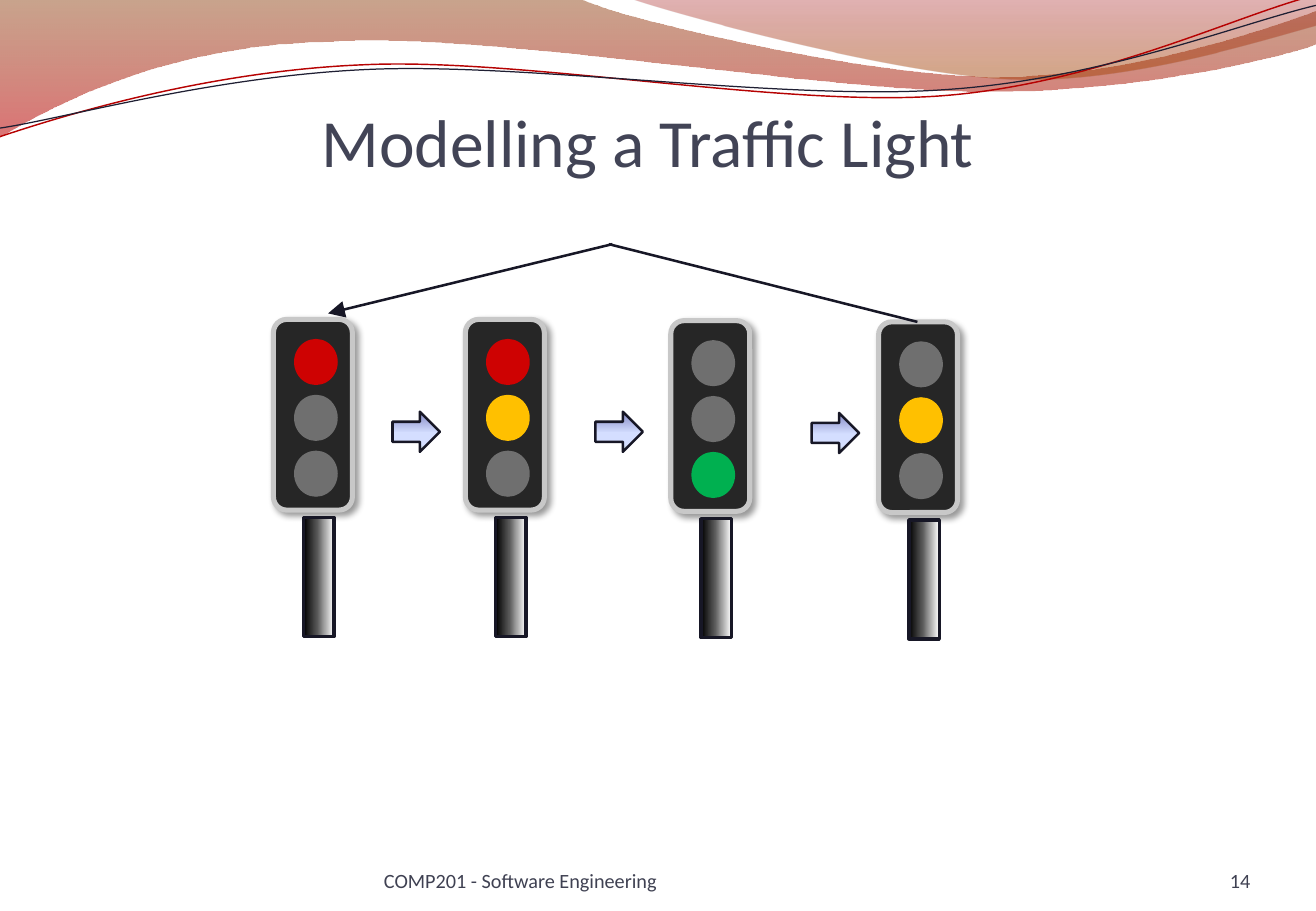
from pptx import Presentation
from pptx.dml.color import RGBColor
from pptx.enum.shapes import MSO_CONNECTOR, MSO_SHAPE
from pptx.enum.text import MSO_ANCHOR, MSO_AUTO_SIZE, PP_ALIGN
from pptx.oxml import parse_xml
from pptx.oxml.ns import nsdecls, qn
from pptx.util import Inches, Pt

TITLE_GREY = RGBColor(0x42, 0x44, 0x56)
FOOTER_GREY = RGBColor(0x3F, 0x41, 0x52)
INK = RGBColor(0x17, 0x17, 0x26)
HOUSING = RGBColor(0x26, 0x26, 0x26)
RIM = RGBColor(0xC8, 0xC8, 0xC8)
OFF = RGBColor(0x6F, 0x6F, 0x6F)
RED = RGBColor(0xCE, 0x02, 0x02)
AMBER = RGBColor(0xFF, 0xC0, 0x00)
GREEN = RGBColor(0x00, 0xB0, 0x50)
WAVE_RED = RGBColor(0xB6, 0x02, 0x02)
WAVE_NAVY = RGBColor(0x1F, 0x1F, 0x33)

# Gradients: angle in degrees, then stops of position, colour and opacity in percent
BROWN_TO_RED = (90, [(0, RGBColor(0x88, 0x34, 0x00), 45), (100, RGBColor(0xBD, 0x00, 0x00), 55)])
RED_TO_BROWN = (90, [(0, RGBColor(0x9A, 0x00, 0x00), 30), (80, RGBColor(0xA2, 0x3E, 0x00), 45)])
POLE_METAL = (0, [(0, RGBColor(0x00, 0x00, 0x00), 100), (45, RGBColor(0x59, 0x59, 0x59), 100),
                  (70, RGBColor(0xA6, 0xA6, 0xA6), 100), (100, RGBColor(0xFF, 0xFF, 0xFF), 100)])
ARROW_BLUE = (90, [(0, RGBColor(0x84, 0x88, 0xC4), 100), (53, RGBColor(0xD4, 0xDE, 0xFF), 100),
                   (83, RGBColor(0xD4, 0xDE, 0xFF), 100), (100, RGBColor(0x96, 0xAB, 0x94), 100)])


def write_text(box, text, size, color, align=PP_ALIGN.LEFT, top_inset=0):
    frame = box.text_frame
    frame.word_wrap = True
    frame.auto_size = MSO_AUTO_SIZE.NONE
    frame.vertical_anchor = MSO_ANCHOR.BOTTOM
    frame.margin_left = frame.margin_right = frame.margin_bottom = 0
    frame.margin_top = Inches(top_inset)
    paragraph = frame.paragraphs[0]
    paragraph.alignment = align
    run = paragraph.add_run()
    run.text = text
    run.font.name = "Calibri"
    run.font.size = Pt(size)
    run.font.color.rgb = color


def paint(shape, fill=None, line=None, width=0):
    """Fill with a colour, an (angle, stops) gradient or nothing, and set the outline."""
    shape.shadow.inherit = False
    if isinstance(fill, RGBColor):
        shape.fill.solid()
        shape.fill.fore_color.rgb = fill
    else:
        shape.fill.background()
    if isinstance(fill, tuple) and not isinstance(fill, RGBColor):
        angle, stops = fill
        stop_xml = "".join(
            f'<a:gs pos="{position * 1000}"><a:srgbClr val="{color}">'
            f'<a:alpha val="{opacity * 1000}"/></a:srgbClr></a:gs>'
            for position, color, opacity in stops)
        gradient = parse_xml(
            f'<a:gradFill {nsdecls("a")} rotWithShape="1"><a:gsLst>{stop_xml}</a:gsLst>'
            f'<a:lin ang="{angle * 60000}" scaled="0"/></a:gradFill>')
        properties = shape.element.spPr
        properties.replace(properties.find(qn("a:noFill")), gradient)
    if line is None:
        shape.line.fill.background()
    else:
        shape.line.color.rgb = line
        shape.line.width = Pt(width)


deck = Presentation()
deck.slide_width, deck.slide_height = Inches(10.83), Inches(7.5)
slide = deck.slides.add_slide(deck.slide_layouts[5])
shapes = slide.shapes

# Waves: start point, segments of one point (straight) or three (Bézier), rotation, look
waves = [
    ((0, 0), [[(4.77, -0.01)],
              [(5.15, 0.17), (7.19, 0.63), (8.22, 0.63)],
              [(9.24, 0.63), (10.38, 0.26), (10.83, 0.09)],
              [(10.84, 0.36)],
              [(10.65, 0.44), (9.42, 0.76), (8.08, 0.75)],
              [(6.74, 0.75), (4.14, 0.28), (2.79, 0.34)],
              [(1.4, 0.36), (0.5, 0.83), (-0.01, 1.13)],
              [(0, 0)]],
     0, dict(fill=BROWN_TO_RED)),
    ((5.19, -0.01), [[(5.52, 0.11), (7.39, 0.62), (8.33, 0.65)],
                     [(9.27, 0.69), (10.42, 0.32), (10.83, 0.21)],
                     [(10.83, 0)],
                     [(5.19, -0.01)]],
     0, dict(fill=RED_TO_BROWN)),
    ((-0.02, 0.87), [[(0.51, 0.72), (1.71, 0.41), (3, 0.42)],
                     [(4.29, 0.42), (6.4, 0.93), (7.71, 0.9)],
                     [(9.01, 0.87), (10.19, 0.35), (10.83, 0.22)]],
     357.3, dict(line=WAVE_RED, width=0.85)),
    ((-0.02, 0.8), [[(0.5, 0.75), (1.77, 0.45), (3.07, 0.46)],
                    [(4.36, 0.47), (6.46, 0.88), (7.75, 0.85)],
                    [(9.05, 0.83), (10.21, 0.42), (10.85, 0.3)]],
     357.3, dict(line=WAVE_NAVY, width=0.75)),
]
for start, segments, rotation, look in waves:
    builder = shapes.build_freeform(Inches(start[0]), Inches(start[1]))
    builder.add_line_segments([(Inches(x), Inches(y)) for segment in segments for x, y in segment],
                              close="fill" in look)
    wave = builder.convert_to_shape()
    wave.rotation = rotation
    paint(wave, **look)
    steps = iter(list(wave.element.iter(qn("a:lnTo"))))
    for segment in segments:
        first, *others = [next(steps) for _ in segment]
        if others:
            curve = parse_xml(f'<a:cubicBezTo {nsdecls("a")}/>')
            first.addprevious(curve)
            for step in (first, *others):
                curve.append(step[0])
                step.getparent().remove(step)

title = shapes.title
title.element.getparent().append(title.element)
title.left, title.top, title.width, title.height = map(Inches, (0.87, 0.55, 8.92, 0.94))
write_text(title, "Modelling a Traffic Light", size=40, color=TITLE_GREY,
           align=PP_ALIGN.CENTER, top_inset=0.05)

for text, left, width, align in [("14", 9.39, 0.9, PP_ALIGN.RIGHT),
                                 ("COMP201 - Software Engineering", 3.16, 3.97, PP_ALIGN.LEFT)]:
    footer = shapes.add_textbox(Inches(left), Inches(6.95), Inches(width), Inches(0.4))
    write_text(footer, text, size=12, color=FOOTER_GREY, align=align)

traffic_lights = [
    (2.25, 2.63, (RED, OFF, OFF)),
    (3.83, 2.63, (RED, AMBER, OFF)),
    (5.52, 2.64, (OFF, OFF, GREEN)),
    (7.23, 2.65, (OFF, AMBER, OFF)),
]
for left, top, lamp_colors in traffic_lights:
    housing = shapes.add_shape(MSO_SHAPE.ROUNDED_RECTANGLE,
                               Inches(left), Inches(top), Inches(0.65), Inches(1.57))
    paint(housing, fill=HOUSING, line=RIM, width=3)
    housing.element.spPr.find(qn("a:effectLst")).append(parse_xml(
        f'<a:outerShdw {nsdecls("a")} blurRad="{Pt(4)}" dist="{Pt(3)}" dir="2700000" '
        'algn="tl" rotWithShape="0"><a:srgbClr val="000000"><a:alpha val="40000"/>'
        '</a:srgbClr></a:outerShdw>'))
    for row, lamp_color in enumerate(lamp_colors):
        lamp = shapes.add_shape(MSO_SHAPE.OVAL, Inches(left + 0.17),
                                Inches(top + 0.16 + 0.46 * row), Inches(0.36), Inches(0.38))
        paint(lamp, fill=lamp_color)
    pole = shapes.add_shape(MSO_SHAPE.RECTANGLE, Inches(left + 0.25), Inches(top + 1.63),
                            Inches(0.25), Inches(0.98))
    paint(pole, fill=POLE_METAL, line=INK, width=2)

for left, top in [(3.23, 3.39), (4.9, 3.39), (6.68, 3.4)]:
    next_arrow = shapes.add_shape(MSO_SHAPE.RIGHT_ARROW,
                                  Inches(left), Inches(top), Inches(0.39), Inches(0.33))
    paint(next_arrow, fill=ARROW_BLUE, line=INK, width=1.5)

for start_x, end_x, end_y, has_head in [(5.04, 2.7, 2.58, True), (5.01, 7.55, 2.65, False)]:
    return_line = shapes.add_connector(MSO_CONNECTOR.STRAIGHT, Inches(start_x), Inches(2.01),
                                       Inches(end_x), Inches(end_y))
    return_line.line.color.rgb = INK
    return_line.line.width = Pt(1.5)
    properties = return_line.element.spPr
    if has_head:
        properties.find(qn("a:ln")).append(
            parse_xml(f'<a:tailEnd {nsdecls("a")} type="triangle" w="lg" len="lg"/>'))
    properties.append(parse_xml(f'<a:effectLst {nsdecls("a")}/>'))

deck.save("out.pptx")
